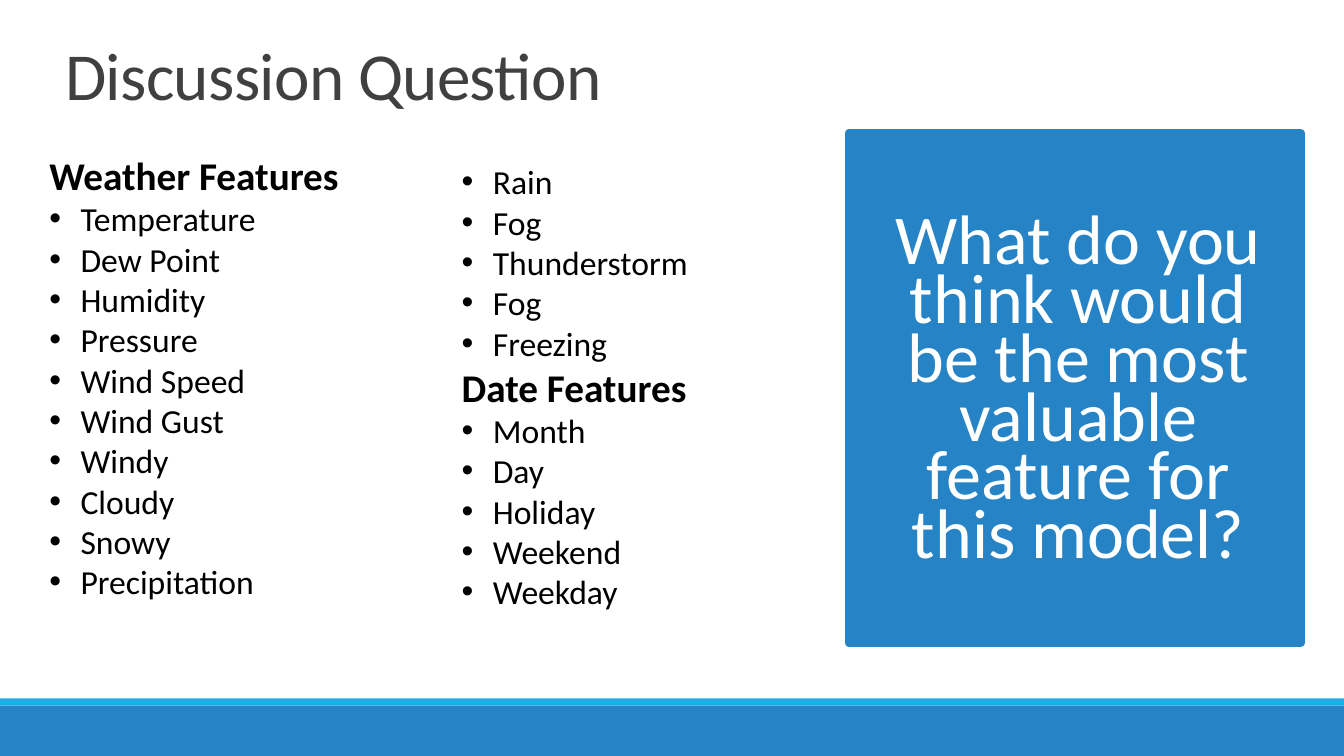
import pptx
import pptx.dml.color
import pptx.enum.shapes
import pptx.enum.text
import pptx.oxml.ns
import pptx.util
from lxml import etree

Inches = pptx.util.Inches
Pt = pptx.util.Pt
ALIGN = pptx.enum.text.PP_ALIGN
ANCHOR = pptx.enum.text.MSO_ANCHOR

BLUE, CYAN, WHITE, GREY, BLACK = "2683C6", "1CADE4", "FFFFFF", "404040", "000000"
WEATHER = ["Temperature", "Dew Point", "Humidity", "Pressure", "Wind Speed",
           "Wind Gust", "Windy", "Cloudy", "Snowy", "Precipitation"]
CONDITIONS = ["Rain", "Fog", "Thunderstorm", "Fog", "Freezing"]
DATES = ["Month", "Day", "Holiday", "Weekend", "Weekday"]


def color(value):
    return pptx.dml.color.RGBColor.from_string(value)


def set_format(target, values):
    for name, value in values.items():
        setattr(target, name, value)


class SlideBuilder:
    """Holds the font and the current slide, and adds its elements."""

    def __init__(self, page, font_name):
        self.page = page
        self.font_name = font_name

    def panel(self, area, fill, border=0):
        shape = self.page.shapes.add_shape(
            pptx.enum.shapes.MSO_SHAPE.RECTANGLE, *map(Inches, area))
        shape.shadow.inherit = False
        shape.fill.solid()
        shape.fill.fore_color.rgb = color(fill)
        if border:
            shape.line.color.rgb = color(fill)
            shape.line.width = Pt(border)
        else:
            shape.line.fill.background()

    def text_box(self, area, **frame_format):
        frame = self.page.shapes.add_textbox(*map(Inches, area)).text_frame
        set_format(frame, {"word_wrap": True, **frame_format})
        return frame

    def add_text(self, para, text, size, fill, bold=False, **para_format):
        set_format(para, para_format)
        span = para.add_run()
        span.text = text
        set_format(span.font, {"name": self.font_name, "size": Pt(size), "bold": bold})
        span.font.color.rgb = color(fill)
        return span

    def bullet(self, para):
        properties = para._p.get_or_add_pPr()
        properties.set("marL", str(Inches(0.31)))
        properties.set("indent", str(-Inches(0.31)))
        for tag, key, value in (("a:buFont", "typeface", "Arial"),
                                ("a:buChar", "char", "•")):
            etree.SubElement(properties, pptx.oxml.ns.qn(tag)).set(key, value)

    def feature_list(self, area, groups):
        frame = self.text_box(area)
        rows = []
        for heading, features in groups:
            if heading:
                rows.append((heading, True))
            rows += [(feature, False) for feature in features]
        for index, (text, is_heading) in enumerate(rows):
            para = frame.add_paragraph() if index else frame.paragraphs[0]
            if not is_heading:
                self.bullet(para)
            self.add_text(para, text, 28 if is_heading else 24, BLACK, is_heading)


def main():
    deck = pptx.Presentation()
    set_format(deck, {"slide_width": Inches(13.33), "slide_height": Inches(7.5)})
    builder = SlideBuilder(deck.slides.add_slide(deck.slide_layouts[6]), "Calibri")

    builder.panel((0, 7, 13.33, 0.5), BLUE)
    builder.panel((0, 6.93, 13.33, 0.07), CYAN)
    builder.panel((8.42, 1.32, 4.48, 5.06), BLUE, border=6)

    title = builder.text_box((0.55, 0.36, 9.33, 0.82), vertical_anchor=ANCHOR.BOTTOM)
    span = builder.add_text(title.paragraphs[0], "Discussion Question", 48, GREY,
                            line_spacing=0.85)
    span._r.get_or_add_rPr().set("spc", "-50")

    question = builder.text_box((8.69, 2.11, 4.01, 4.13), margin_left=0, margin_right=0)
    builder.add_text(question.paragraphs[0],
                     "What do you think would be the most valuable feature for this model?",
                     50, WHITE, alignment=ALIGN.CENTER, line_spacing=0.7)

    builder.feature_list((0.39, 1.45, 4.01, 5.62), [("Weather Features", WEATHER)])
    builder.feature_list((4.48, 1.55, 4.01, 4.98),
                         [(None, CONDITIONS), ("Date Features", DATES)])
    deck.save("out.pptx")


if __name__ == "__main__":
    main()
